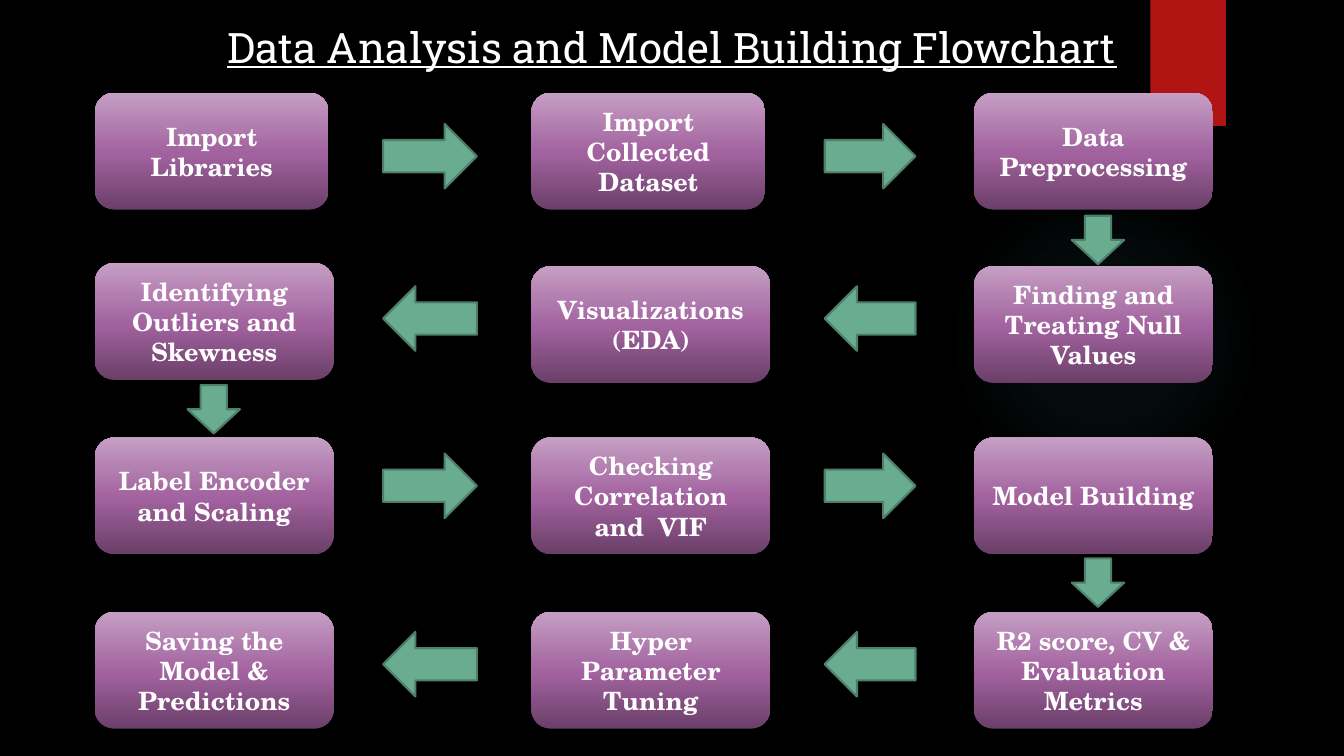
import pptx
import pptx.util
import pptx.dml.color
import pptx.enum.shapes
import pptx.enum.text
import pptx.oxml
import pptx.oxml.ns

COLORS = {
    "background": "000000", "text": "FFFFFF", "ribbon": "B01513", "glow": "50B9C1",
    "arrow": "6AAC90", "arrow_edge": "4E7F6B",
    "step_dark": "6A3F68", "step_mid": "A2629F", "step_light": "C59EC3",
}
SLIDE_WIDTH, SLIDE_HEIGHT = 13.33, 7.5
TITLE_FONT, STEP_FONT = "Roboto Slab", "TeX Gyre Schola"
COLUMN_LEFTS = (0.94, 5.27, 9.66)
ROW_TOPS = (0.92, 2.64, 4.34, 6.07)
STEP_WIDTH, STEP_HEIGHT = 2.37, 1.16
TOP_ROW_WIDTH = 2.32
GUTTERS = ((3.8, 0.93), (8.18, 0.9))
ARROW_TOPS = (1.23, 2.84, 4.5, 6.27)
ARROW_HEIGHT = 0.64
DOWN_ARROWS = ((10.63, 2.14), (1.86, 3.82), (10.63, 5.54))
DOWN_WIDTH, DOWN_HEIGHT = 0.52, 0.48
STEPS = (
    ("Import Libraries", "Import Collected Dataset", "Data Preprocessing"),
    ("Identifying Outliers and Skewness", "Visualizations\n(EDA)",
     "Finding and Treating Null Values"),
    ("Label Encoder and Scaling", "Checking Correlation and  VIF", "Model Building"),
    ("Saving the Model & Predictions", "Hyper Parameter Tuning",
     "R2 score, CV & Evaluation Metrics"),
)
SHAPES = pptx.enum.shapes.MSO_SHAPE
LINEAR_UP = '<a:lin ang="16200000" scaled="0"/>'
RADIAL = ('<a:path path="circle"><a:fillToRect l="50000" t="50000" '
          'r="50000" b="50000"/></a:path>')


def color(name):
    """Return the named colour as an RGB value."""
    return pptx.dml.color.RGBColor.from_string(COLORS[name])


def add_plain_shape(slide, kind, box, fill=None):
    """Add an unlined, shadowless shape in the box, filled if a colour is named."""
    shape = slide.shapes.add_shape(kind, *map(pptx.util.Inches, box))
    shape.shadow.inherit = False
    shape.line.fill.background()
    if fill:
        shape.fill.solid()
        shape.fill.fore_color.rgb = color(fill)
    return shape


def fill_gradient(shape, stops, direction):
    """Fill the shape with (position, colour, opacity) stops, all in percent."""
    stop_xml = "".join(
        f'<a:gs pos="{position * 1000}"><a:srgbClr val="{COLORS[name]}">'
        f'<a:alpha val="{opacity * 1000}"/></a:srgbClr></a:gs>'
        for position, name, opacity in stops)
    gradient = pptx.oxml.parse_xml(
        f'<a:gradFill {pptx.oxml.ns.nsdecls("a")} rotWithShape="1">'
        f'<a:gsLst>{stop_xml}</a:gsLst>{direction}</a:gradFill>')
    shape.fill.gradient()
    current = shape._element.spPr.find(pptx.oxml.ns.qn("a:gradFill"))
    current.getparent().replace(current, gradient)


def format_text(text_frame, font_name, size):
    """Centre every paragraph and give it the font, size and text colour."""
    text_frame.word_wrap = True
    for paragraph in text_frame.paragraphs:
        paragraph.alignment = pptx.enum.text.PP_ALIGN.CENTER
        paragraph.font.name = font_name
        paragraph.font.size = pptx.util.Pt(size)
        paragraph.font.color.rgb = color("text")


def add_backdrop(slide):
    """Paint the background, the soft glow and the ribbon."""
    slide.background.fill.solid()
    slide.background.fill.fore_color.rgb = color("background")
    glow = add_plain_shape(slide, SHAPES.OVAL, (9.41, 1.83, 3.08, 3.08))
    fill_gradient(glow, ((0, "glow", 7), (36, "glow", 6), (69, "glow", 0)), RADIAL)
    add_plain_shape(slide, SHAPES.RECTANGLE, (11.41, 0, 0.75, 1.25), "ribbon")


def add_title(slide, box):
    """Write the underlined heading in the title placeholder."""
    title = slide.shapes.title
    title.left, title.top, title.width, title.height = map(pptx.util.Inches, box)
    title.text_frame.text = "Data Analysis and Model Building Flowchart"
    title.text_frame.auto_size = pptx.enum.text.MSO_AUTO_SIZE.NONE
    title.text_frame.vertical_anchor = pptx.enum.text.MSO_ANCHOR.TOP
    format_text(title.text_frame, TITLE_FONT, 30)
    title.text_frame.paragraphs[0].font.underline = True


def add_arrow(slide, kind, box):
    """Add one outlined block arrow."""
    arrow = add_plain_shape(slide, kind, box, "arrow")
    arrow.line.color.rgb = color("arrow_edge")
    arrow.line.width = pptx.util.Pt(1.5)


def add_step(slide, text, box):
    """Add one rounded process box with its label."""
    step = add_plain_shape(slide, SHAPES.FLOWCHART_ALTERNATE_PROCESS, box)
    fill_gradient(step, ((0, "step_dark", 100), (48, "step_mid", 100),
                         (100, "step_light", 100)), LINEAR_UP)
    step.text_frame.text = text
    step.text_frame.vertical_anchor = pptx.enum.text.MSO_ANCHOR.MIDDLE
    format_text(step.text_frame, STEP_FONT, 18)
    for paragraph in step.text_frame.paragraphs:
        paragraph.font.bold = True


def add_flow(slide):
    """Lay out the steps in a grid, linked by arrows that turn back each row."""
    for row, top in enumerate(ARROW_TOPS):
        kind = SHAPES.LEFT_ARROW if row % 2 else SHAPES.RIGHT_ARROW
        for left, width in GUTTERS:
            add_arrow(slide, kind, (left, top, width, ARROW_HEIGHT))
    for left, top in DOWN_ARROWS:
        add_arrow(slide, SHAPES.DOWN_ARROW, (left, top, DOWN_WIDTH, DOWN_HEIGHT))
    for row, labels in enumerate(STEPS):
        for column, label in enumerate(labels):
            width = TOP_ROW_WIDTH if row == 0 and column < 2 else STEP_WIDTH
            top = 2.61 if (row, column) == (1, 0) else ROW_TOPS[row]
            add_step(slide, label, (COLUMN_LEFTS[column], top, width, STEP_HEIGHT))


def main():
    """Build and save the flowchart slide."""
    presentation = pptx.Presentation()
    presentation.slide_width = pptx.util.Inches(SLIDE_WIDTH)
    presentation.slide_height = pptx.util.Inches(SLIDE_HEIGHT)
    slide = presentation.slides.add_slide(presentation.slide_layouts[5])
    add_backdrop(slide)
    add_title(slide, (0, 0.16, SLIDE_WIDTH, 0.61))
    add_flow(slide)
    presentation.save("out.pptx")


if __name__ == "__main__":
    main()
